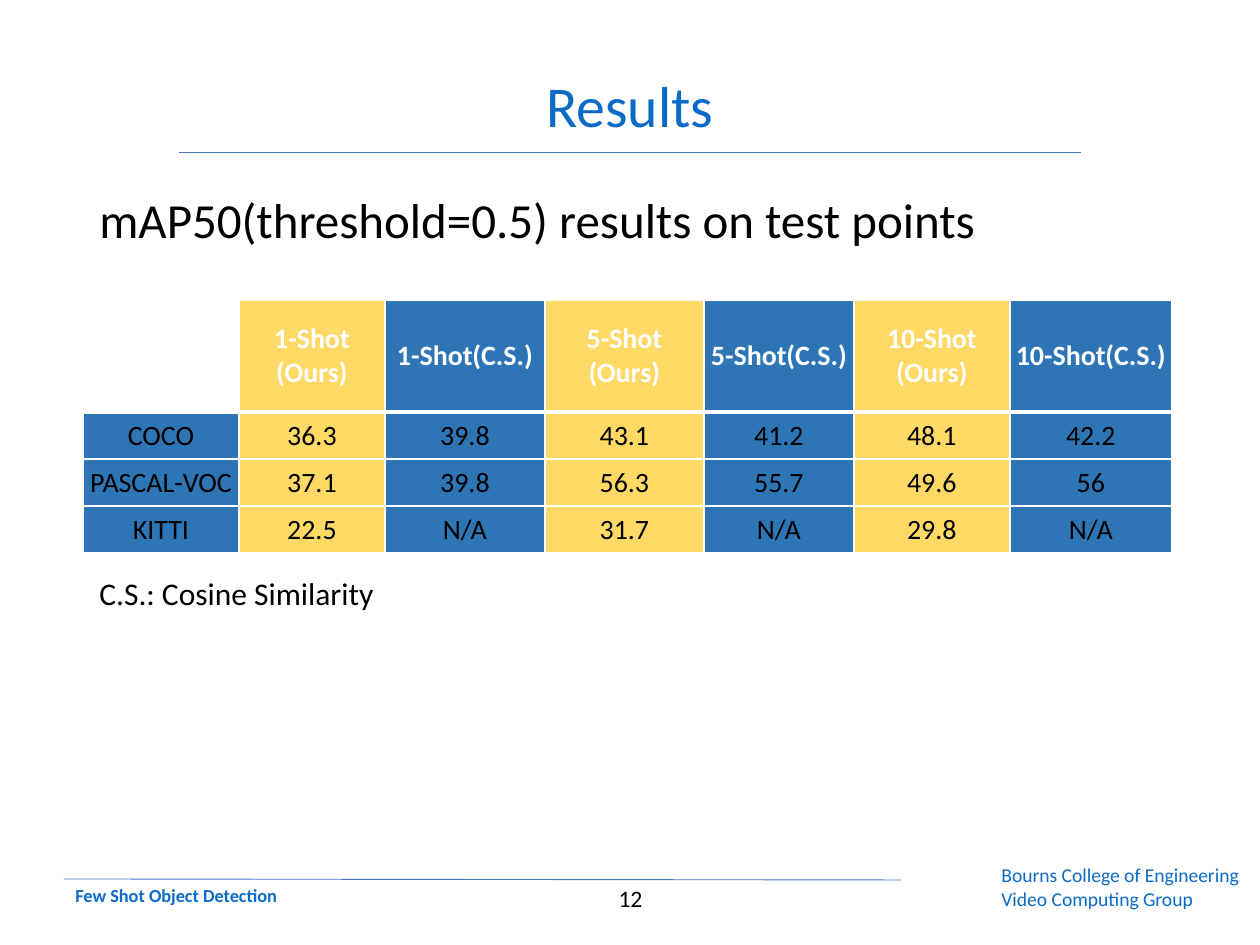
from lxml.etree import SubElement
from pptx import Presentation
from pptx.dml.color import RGBColor
from pptx.enum.shapes import MSO_CONNECTOR
from pptx.enum.text import MSO_ANCHOR, PP_ALIGN
from pptx.oxml import parse_xml
from pptx.oxml.ns import nsdecls, qn
from pptx.util import Emu, Pt

PX = 914400 // 126
COLORS = {
    "title": "0C6BC7",
    "rule": "4472C4",
    "text": "000000",
    "white": "FFFFFF",
    "ours": "FFD966",
    "cosine": "2E75B6",
}
FONT = "Calibri"
COLUMN_WIDTHS = [156, 146, 160, 159, 150, 156, 162]
ROW_HEIGHTS = [112, 47, 47, 47]
RESULTS = [
    ["", "1-Shot (Ours)", "1-Shot(C.S.)", "5-Shot\n(Ours)", "5-Shot(C.S.)",
     "10-Shot\n(Ours)", "10-Shot(C.S.)"],
    ["COCO", "36.3", "39.8", "43.1", "41.2", "48.1", "42.2"],
    ["PASCAL-VOC", "37.1", "39.8", "56.3", "55.7", "49.6", "56"],
    ["KITTI", "22.5", "N/A", "31.7", "N/A", "29.8", "N/A"],
]


def px(*lengths):
    return [Emu(length * PX) for length in lengths]


def color(name):
    return RGBColor.from_string(COLORS[name])


class SlideBuilder:
    def __init__(self, slide):
        self.slide = slide

    def style(self, frame, size, ink, bold=False, align=PP_ALIGN.LEFT, spacing=1.0):
        for para in frame.paragraphs:
            para.alignment = align
            para.line_spacing = spacing
            for span in para.runs:
                span.font.name = FONT
                span.font.size = Pt(size)
                span.font.bold = bold
                span.font.color.rgb = color(ink)

    def text(self, left, top, width, height, words, size, ink, **options):
        box = self.slide.shapes.add_textbox(*px(left, top, width, height))
        box.text_frame.word_wrap = True
        box.text_frame.text = words
        self.style(box.text_frame, size, ink, **options)

    def rule(self, x1, y1, x2, y2):
        line = self.slide.shapes.add_connector(MSO_CONNECTOR.STRAIGHT, *px(x1, y1, x2, y2))
        line.line.color.rgb = color("rule")
        line.line.width = Pt(0.5)
        SubElement(line._element.spPr, qn("a:effectLst"))

    def borders(self, cell, bottom):
        """Draw white cell edges; only the bottom width, in points, varies."""
        properties = cell._tc.get_or_add_tcPr()
        for index, (edge, width) in enumerate(zip("LRTB", (1, 1, 1, bottom))):
            properties.insert(index, parse_xml(
                f'<a:ln{edge} {nsdecls("a")} w="{Pt(width)}"><a:solidFill>'
                f'<a:srgbClr val="{COLORS["white"]}"/></a:solidFill></a:ln{edge}>'))

    def table(self, left, top, widths, heights, rows):
        """Alternate column fills, with a bold header row and a blank corner."""
        frame = self.slide.shapes.add_table(
            len(rows), len(widths), *px(left, top, sum(widths), sum(heights)))
        table = frame.table
        for column, width in zip(table.columns, px(*widths)):
            column.width = width
        for row, height in zip(table.rows, px(*heights)):
            row.height = height
        for r, row in enumerate(rows):
            header = r == 0
            for c, words in enumerate(row):
                cell = table.cell(r, c)
                cell.text = words
                cell.vertical_anchor = MSO_ANCHOR.MIDDLE
                cell.margin_left = cell.margin_right = 0
                cell.margin_top = cell.margin_bottom = 0
                self.style(cell.text_frame, 16, "white" if header else "text",
                           bold=header, align=PP_ALIGN.CENTER)
                fill = "ours" if c % 2 else "cosine"
                cell.fill.solid()
                cell.fill.fore_color.rgb = color(fill if words else "white")
                self.borders(cell, bottom=3 if header else 1)
                if r == 1:
                    cell._tc.tcPr.find(qn("a:lnT")).set("w", str(Pt(3)))


def main():
    deck = Presentation()
    deck.slide_width, deck.slide_height = px(1260, 945)
    page = SlideBuilder(deck.slides.add_slide(deck.slide_layouts[6]))

    page.rule(179, 152, 1081, 152)
    page.rule(64, 879, 901, 880)
    page.text(989, 857, 286, 60, "Bourns College of Engineering\nVideo Computing Group",
              11.2, "title")
    page.text(63, 878, 426, 50, "Few Shot Object Detection", 10.5, "title", bold=True)
    page.text(489, 878, 283, 50, "12", 13.5, "text", align=PP_ALIGN.CENTER)

    page.text(87, 71, 1086, 120, "Results", 33, "title",
              align=PP_ALIGN.CENTER, spacing=0.9)
    page.text(87, 190, 1086, 70, "mAP50(threshold=0.5)\u00a0results on test points".replace("\u00a0", " "),
              28, "text", spacing=0.9)
    page.table(83, 300, COLUMN_WIDTHS, ROW_HEIGHTS, RESULTS)
    page.text(87, 572, 1086, 50, "C.S.: Cosine Similarity", 18, "text", spacing=0.9)

    deck.save("out.pptx")


if __name__ == "__main__":
    main()
